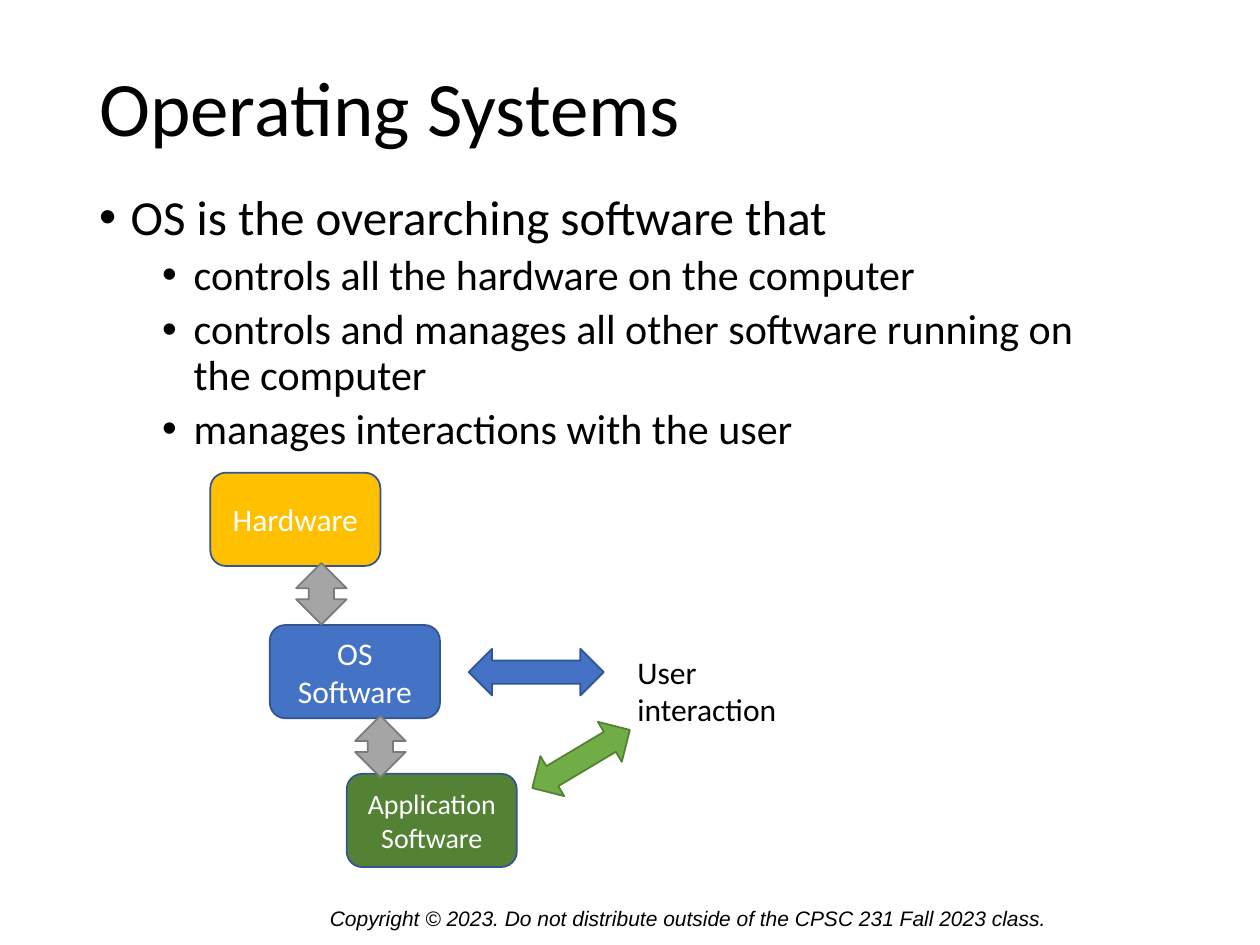
from dataclasses import dataclass

from lxml.etree import SubElement
from pptx import Presentation
from pptx.dml.color import RGBColor
from pptx.enum.shapes import MSO_SHAPE
from pptx.enum.text import MSO_ANCHOR, PP_ALIGN
from pptx.oxml.ns import qn
from pptx.shapes.autoshape import Shape
from pptx.slide import Slide
from pptx.util import Cm, Pt

BLACK = RGBColor(0x00, 0x00, 0x00)
WHITE = RGBColor(0xFF, 0xFF, 0xFF)
GOLD = RGBColor(0xFF, 0xC0, 0x00)
BLUE = RGBColor(0x44, 0x72, 0xC4)
BLUE_EDGE = RGBColor(0x32, 0x54, 0x91)
DARK_GREEN = RGBColor(0x54, 0x82, 0x35)
GREEN = RGBColor(0x70, 0xAD, 0x47)
GREEN_EDGE = RGBColor(0x53, 0x80, 0x35)
GRAY = RGBColor(0xA5, 0xA5, 0xA5)
GRAY_EDGE = RGBColor(0x7A, 0x7A, 0x7A)


@dataclass(frozen=True)
class Area:
    """Left, top, width and height in centimetres."""
    left: float
    top: float
    width: float
    height: float

    def lengths(self) -> tuple[Cm, Cm, Cm, Cm]:
        return Cm(self.left), Cm(self.top), Cm(self.width), Cm(self.height)


@dataclass(frozen=True)
class Layer:
    label: str
    left: float
    top: float
    fill: RGBColor
    size: int = 18


@dataclass(frozen=True)
class Arrow:
    kind: MSO_SHAPE
    area: Area
    fill: RGBColor
    edge: RGBColor
    rotation: float = 0


@dataclass(frozen=True)
class Bullet:
    text: str
    level: int
    size: int
    space_before: int


LAYER_WIDTH, LAYER_HEIGHT = 3.43, 1.88
LAYERS = [
    Layer("Hardware", 4.24, 9.53, GOLD),
    Layer("OS Software", 5.44, 12.6, BLUE),
    Layer("Application Software", 6.99, 15.6, DARK_GREEN, 16),
]
ARROWS = [
    Arrow(MSO_SHAPE.UP_DOWN_ARROW, Area(5.97, 11.35, 1.02, 1.24), GRAY, GRAY_EDGE),
    Arrow(MSO_SHAPE.UP_DOWN_ARROW, Area(7.16, 14.43, 1.02, 1.24), GRAY, GRAY_EDGE),
    Arrow(MSO_SHAPE.LEFT_RIGHT_ARROW, Area(9.45, 13.08, 2.72, 0.94), BLUE, BLUE_EDGE),
    Arrow(MSO_SHAPE.LEFT_RIGHT_ARROW, Area(10.57, 14.83, 2.29, 0.94), GREEN, GREEN_EDGE, 329.2),
]
BULLETS = [
    Bullet("OS is the overarching software that", 0, 28, 0),
    Bullet("controls all the hardware on the computer", 1, 24, 5),
    Bullet("controls and manages all other software running on the computer", 1, 24, 5),
    Bullet("manages interactions with the user", 1, 24, 5),
]


def style_font(para, size: int, color: RGBColor = BLACK, name: str = "Calibri") -> None:
    para.font.name = name
    para.font.size = Pt(size)
    para.font.color.rgb = color


def add_text(slide: Slide, area: Area, text: str, size: int, name: str = "Calibri") -> Shape:
    box = slide.shapes.add_textbox(*area.lengths())
    box.text_frame.word_wrap = True
    para = box.text_frame.paragraphs[0]
    para.text = text
    style_font(para, size, name=name)
    return box


def add_bullets(slide: Slide, area: Area, bullets: list[Bullet]) -> None:
    frame = slide.shapes.add_textbox(*area.lengths()).text_frame
    frame.word_wrap = True
    for index, bullet in enumerate(bullets):
        para = frame.add_paragraph() if index else frame.paragraphs[0]
        para.text = bullet.text
        para.level = bullet.level
        properties = para._p.get_or_add_pPr()
        properties.set("marL", str(Cm(0.635 + 1.27 * bullet.level)))
        properties.set("indent", str(-Cm(0.635)))
        SubElement(properties, qn("a:buFont"), typeface="Arial")
        SubElement(properties, qn("a:buChar"), char="•")
        para.line_spacing = 0.9
        para.space_before = Pt(bullet.space_before)
        style_font(para, bullet.size)


def add_filled(slide: Slide, kind: MSO_SHAPE, area: Area, fill: RGBColor, edge: RGBColor) -> Shape:
    shape = slide.shapes.add_shape(kind, *area.lengths())
    shape.shadow.inherit = False
    shape.fill.solid()
    shape.fill.fore_color.rgb = fill
    shape.line.color.rgb = edge
    shape.line.width = Pt(1)
    return shape


def add_layer(slide: Slide, layer: Layer) -> None:
    area = Area(layer.left, layer.top, LAYER_WIDTH, LAYER_HEIGHT)
    box = add_filled(slide, MSO_SHAPE.ROUNDED_RECTANGLE, area, layer.fill, BLUE_EDGE)
    box.text_frame.word_wrap = True
    box.text_frame.vertical_anchor = MSO_ANCHOR.MIDDLE
    para = box.text_frame.paragraphs[0]
    para.text = layer.label
    para.alignment = PP_ALIGN.CENTER
    style_font(para, layer.size, WHITE)


def add_arrow(slide: Slide, arrow: Arrow) -> None:
    shape = add_filled(slide, arrow.kind, arrow.area, arrow.fill, arrow.edge)
    shape.rotation = arrow.rotation


def main() -> None:
    deck = Presentation()
    deck.slide_width, deck.slide_height = Cm(25.4), Cm(19.05)
    page = deck.slides.add_slide(deck.slide_layouts[6])

    notice = add_text(
        page, Area(6.4, 18.14, 15.8, 0.76),
        "Copyright © 2023. Do not distribute outside of the CPSC 231 Fall 2023 class.", 12, "Arial")
    notice.text_frame.paragraphs[0].font.italic = True

    title = add_text(page, Area(1.75, 1.02, 21.89, 2.44), "Operating Systems", 44)
    title.text_frame.vertical_anchor = MSO_ANCHOR.MIDDLE
    title.text_frame.paragraphs[0].line_spacing = 0.9

    add_bullets(page, Area(1.75, 3.76, 20.85, 13.39), BULLETS)
    for layer in LAYERS:
        add_layer(page, layer)
    for arrow in ARROWS:
        add_arrow(page, arrow)
    add_text(page, Area(12.6, 13.03, 3.73, 1.8), "User interaction", 18)

    deck.save("out.pptx")


if __name__ == "__main__":
    main()
